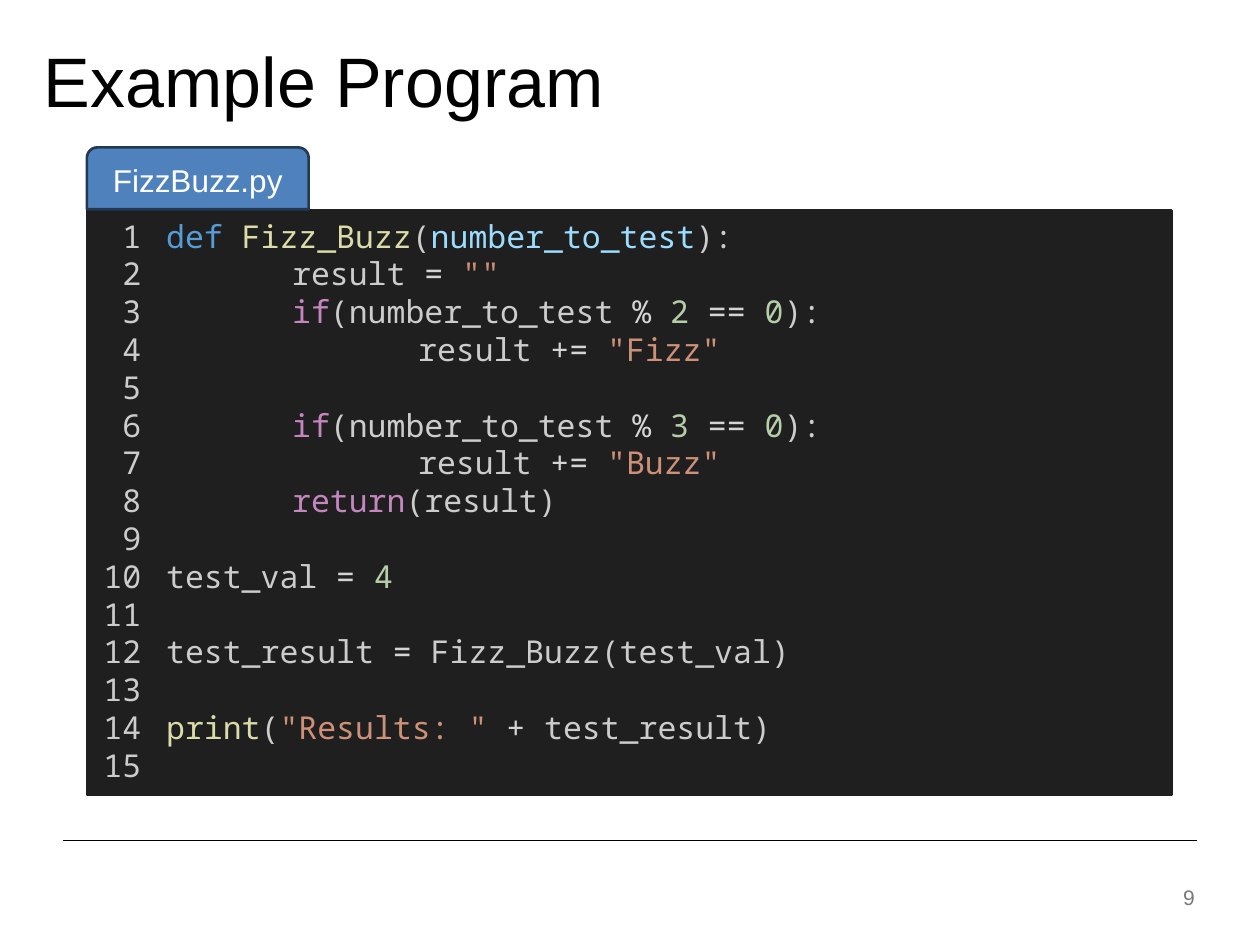
import pptx
import pptx.util
import pptx.dml.color
import pptx.enum.shapes
import pptx.enum.text
import lxml.etree

Inches, Pt = pptx.util.Inches, pptx.util.Pt
RGB = pptx.dml.color.RGBColor.from_string
Align, Anchor = pptx.enum.text.PP_ALIGN, pptx.enum.text.MSO_ANCHOR
Shape = pptx.enum.shapes.MSO_SHAPE

COLORS = {
    "black": "000000", "white": "FFFFFF", "grey": "797979",
    "panel": "1F1F1F", "tab": "4F81BD", "edge": "233953",
    "text": "CCCCCC", "op": "D4D4D4", "def": "569CD6", "func": "DCDCAA",
    "arg": "9CDCFE", "str": "CE9178", "flow": "C586C0", "num": "B5CEA8",
}
SANS, MONO = "Arial", "Noto Sans Mono"
DRAW = "{http://schemas.openxmlformats.org/drawingml/2006/main}"


def style(part, name, size, color):
    """Set the font of a run or paragraph."""
    part.font.name = name
    part.font.size = Pt(size)
    part.font.color.rgb = RGB(COLORS[color])


def add_box(kind, left, top, width, height, fill, edge):
    box = slide.shapes.add_shape(
        kind, Inches(left), Inches(top), Inches(width), Inches(height))
    box.shadow.inherit = False
    box.fill.solid()
    box.fill.fore_color.rgb = RGB(COLORS[fill])
    box.line.color.rgb = RGB(COLORS[edge])
    box.line.width = Pt(1.5)
    frame = box.text_frame
    frame.word_wrap = True
    frame.vertical_anchor = Anchor.TOP
    return frame


prs = pptx.Presentation()
prs.slide_width, prs.slide_height = Inches(10), Inches(7.5)
slide = prs.slides.add_slide(prs.slide_layouts[6])

# Footer rule
rule = slide.shapes.add_connector(
    pptx.enum.shapes.MSO_CONNECTOR.STRAIGHT,
    Inches(0.5), Inches(6.67), Inches(9.5), Inches(6.67))
rule.line.color.rgb = RGB(COLORS["black"])
rule.line.width = Pt(0.5)
lxml.etree.SubElement(rule._element.spPr, DRAW + "effectLst")

# Title and page number
labels = [
    ("Example Program", 0.25, 0.25, 6, 0.77, 40, "black", Align.LEFT, Anchor.TOP),
    ("9", 7.33, 6.92, 2.25, 0.4, 12, "grey", Align.RIGHT, Anchor.MIDDLE),
]
for text, left, top, width, height, size, color, align, anchor in labels:
    frame = slide.shapes.add_textbox(
        Inches(left), Inches(top), Inches(width), Inches(height)).text_frame
    frame.word_wrap = True
    frame.vertical_anchor = anchor
    frame.text = text
    frame.paragraphs[0].alignment = align
    style(frame.paragraphs[0].runs[0], SANS, size, color)


# Code panel: one list of (color, text) per line of the program
def test(number):
    """Give the pieces of the line that tests for a divisor."""
    return [("flow", "\tif"), ("text", "(number_to_test "), ("op", "%"),
            ("num", f" {number} "), ("op", "=="), ("num", " 0"), ("text", "):")]


code = [
    [("def", "def "), ("func", "Fizz_Buzz"), ("text", "("),
     ("arg", "number_to_test"), ("text", "):")],
    [("text", "\tresult "), ("op", "="), ("str", ' ""')],
    test(2),
    [("text", "\t\tresult "), ("op", "+="), ("str", ' "Fizz"')],
    [],
    test(3),
    [("text", "\t\tresult "), ("op", "+="), ("str", ' "Buzz"')],
    [("flow", "\treturn"), ("text", "(result)")],
    [],
    [("text", "test_val "), ("op", "="), ("num", " 4")],
    [],
    [("text", "test_result "), ("op", "="), ("text", " Fizz_Buzz(test_val)")],
    [],
    [("func", "print"), ("text", "("), ("str", '"Results: " '),
     ("op", "+ "), ("text", "test_result)")],
]
frame = add_box(Shape.RECTANGLE, 1.22, 1.67, 8.08, 4.64, "panel", "panel")
para = frame.paragraphs[0]
for row, line in enumerate(code):
    # An empty line is a line break at the start of the next paragraph
    if row == 0 or code[row - 1]:
        if row:
            para = frame.add_paragraph()
        para.alignment = Align.LEFT
        para.line_spacing = Pt(21.6)
        stops = lxml.etree.SubElement(para._p.get_or_add_pPr(), DRAW + "tabLst")
        for inch in (1, 2):
            lxml.etree.SubElement(
                stops, DRAW + "tab", pos=str(Inches(inch)), algn="l")
    if not line:
        para.add_line_break()
    for color, text in line:
        run = para.add_run()
        run.text = text
        style(run, MONO, 18, color)

# Line numbers
frame = add_box(Shape.RECTANGLE, 0.69, 1.67, 0.53, 4.64, "panel", "panel")
frame.text = "\n".join(str(n) for n in range(1, 16))
for para in frame.paragraphs:
    para.alignment = Align.RIGHT
    para.line_spacing = Pt(21.6)
    style(para.runs[0], MONO, 18, "text")

# File tab
frame = add_box(Shape.ROUND_2_SAME_RECTANGLE, 0.69, 1.17, 1.76, 0.49, "tab", "edge")
frame.vertical_anchor = Anchor.MIDDLE
frame.text = "FizzBuzz.py"
frame.paragraphs[0].alignment = Align.CENTER
style(frame.paragraphs[0].runs[0], SANS, 18, "white")

prs.save("out.pptx")
